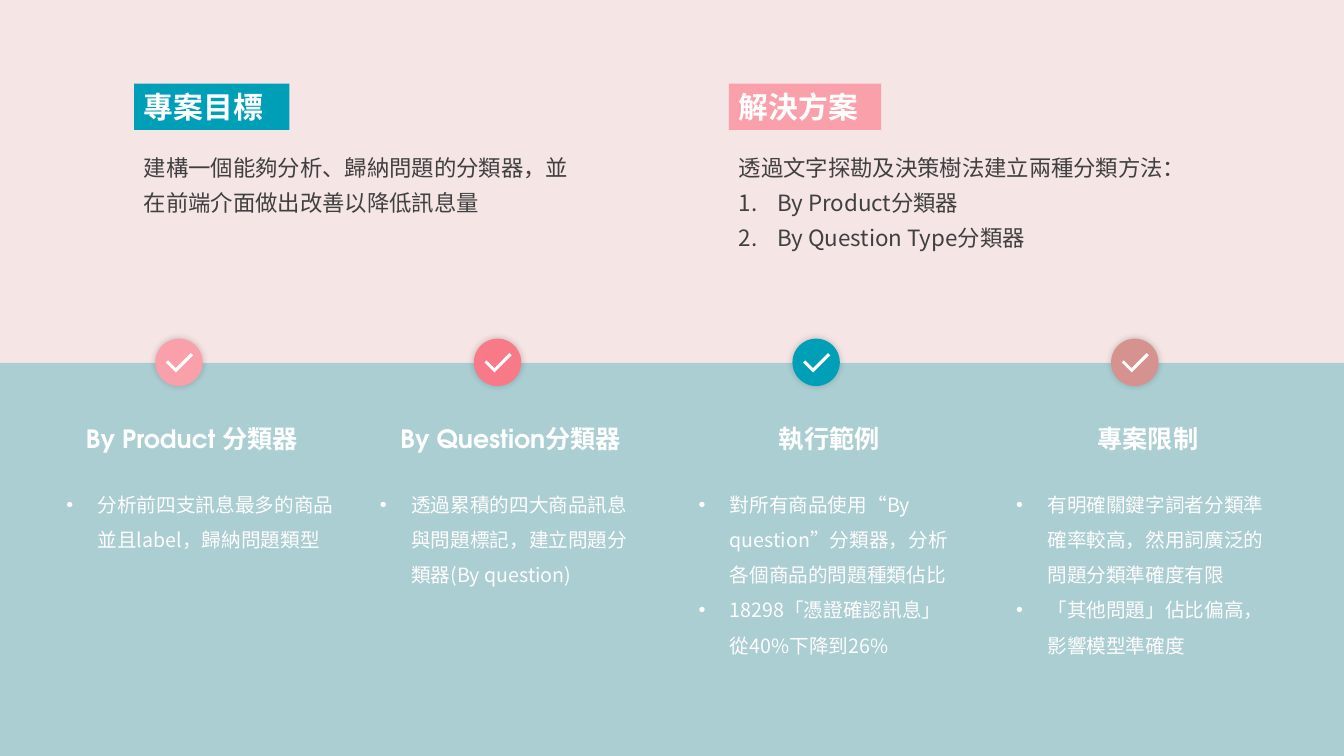
from dataclasses import dataclass

from lxml import etree
from pptx import Presentation
from pptx import util as u
from pptx.dml.color import RGBColor
from pptx.enum import shapes, text
from pptx.oxml.ns import qn


@dataclass(frozen=True)
class Theme:
    blush: str = "F5E5E4"
    mist: str = "AACED2"
    teal: str = "009FB8"
    pink: str = "FAA0AA"
    coral: str = "F87987"
    rose: str = "D5928E"
    white: str = "FFFFFF"
    soft_white: str = "FFFDFD"
    ink: str = "404040"
    shadow: str = "000000"
    tag_font: str = "Arial"
    heading_font: str = "TeX Gyre Adventor"
    body_font: str = "Noto Sans CJK SC"
    tag_size: float = 21.3
    heading_size: int = 18
    intro_size: int = 16
    detail_size: int = 14


THEME = Theme()
COLUMN_LEFT, COLUMN_STEP, COLUMN_WIDTH = 0.51, 3.16, 2.79

SUMMARIES = [
    (1.33, 1.54, THEME.teal, "專案目標",
     ["建構一個能夠分析、歸納問題的分類器，並在前端介面做出改善以降低訊息量"], 0.77),
    (7.23, 1.51, THEME.pink, "解決方案",
     ["透過文字探勘及決策樹法建立兩種分類方法：",
      "By Product分類器", "By Question Type分類器"], 1.12),
]

TOPICS = [
    (THEME.pink, "By Product 分類器", 0.56, 2.95, 0.77,
     ["分析前四支訊息最多的商品並且label，歸納問題類型"]),
    (THEME.coral, "By Question分類器", 3.67, COLUMN_WIDTH, 1.12,
     ["透過累積的四大商品訊息與問題標記，建立問題分類器(By question)"]),
    (THEME.teal, "執行範例", 6.83, COLUMN_WIDTH, 1.83,
     ["對所有商品使用“By question”分類器，分析各個商品的問題種類佔比",
      "18298「憑證確認訊息」從40%下降到26%"]),
    (THEME.rose, "專案限制", 9.98, COLUMN_WIDTH, 1.83,
     ["有明確關鍵字詞者分類準確率較高，然用詞廣泛的問題分類準確度有限",
      "「其他問題」佔比偏高，影響模型準確度"]),
]


def frame(left, top, width, height):
    return [u.Inches(length) for length in (left, top, width, height)]


def add_filled(parent, kind, box, color):
    filled = parent.add_shape(kind, *frame(*box))
    filled.shadow.inherit = False
    filled.fill.solid()
    filled.fill.fore_color.rgb = RGBColor.from_string(color)
    filled.line.fill.background()
    return filled


def write(holder, lines, font, size, color, bold=False, spacing=None,
          align=text.PP_ALIGN.LEFT):
    body = holder.text_frame
    body.word_wrap = True
    body.auto_size = text.MSO_AUTO_SIZE.SHAPE_TO_FIT_TEXT
    body.text = "\n".join(lines)
    for paragraph in body.paragraphs:
        paragraph.alignment = align
        paragraph.line_spacing = spacing
        for run in paragraph.runs:
            run.font.name = font
            run.font.size = u.Pt(size)
            run.font.bold = bold
            run.font.color.rgb = RGBColor.from_string(color)
            east_asian = etree.Element(qn("a:ea"), typeface=THEME.body_font)
            run.font._element.find(qn("a:latin")).addnext(east_asian)
    return body.paragraphs


def add_marker(paragraph, indent, tag, **settings):
    properties = paragraph._p.get_or_add_pPr()
    properties.set("marL", str(u.Inches(indent)))
    properties.set("indent", str(-u.Inches(indent)))
    etree.SubElement(properties, qn("a:buFont"), typeface=THEME.tag_font)
    etree.SubElement(properties, qn(tag), **settings)


def add_soft_shadow(disc):
    effects = disc._element.spPr.find(qn("a:effectLst"))
    outer = etree.SubElement(effects, qn("a:outerShdw"), blurRad=str(u.Pt(5)),
                             dist="0", dir="0", algn="ctr", rotWithShape="0")
    shade = etree.SubElement(outer, qn("a:srgbClr"), val=THEME.shadow)
    etree.SubElement(shade, qn("a:alpha"), val="20000")


def bend_into_corner(check):
    geometry = check._element.spPr.find(qn("a:prstGeom"))
    geometry.set("prst", "corner")
    guides = geometry.find(qn("a:avLst"))
    for name, value in (("adj1", 21800), ("adj2", 20600)):
        etree.SubElement(guides, qn("a:gd"), name=name, fmla=f"val {value}")


def add_check_badge(slide, left, color):
    badge = slide.shapes.add_group_shape().shapes
    disc = add_filled(badge, shapes.MSO_SHAPE.OVAL, (left, 3.36, 0.47, 0.47), color)
    add_soft_shadow(disc)
    check = add_filled(badge, shapes.MSO_SHAPE.RECTANGLE,
                       (left + 0.12, 3.49, 0.24, 0.14), THEME.white)
    bend_into_corner(check)
    check.rotation = 315


def add_summary(slide, left, tag_width, color, title, lines, height):
    tag = add_filled(slide.shapes, shapes.MSO_SHAPE.RECTANGLE,
                     (left, 0.83, tag_width, 0.46), color)
    write(tag, [title], THEME.tag_font, THEME.tag_size, THEME.white, bold=True)
    intro = slide.shapes.add_textbox(*frame(left, 1.4, 4.5, height))
    paragraphs = write(intro, lines, THEME.body_font, THEME.intro_size,
                       THEME.ink, spacing=1.3)
    for step in paragraphs[1:]:
        add_marker(step, 0.38, "a:buAutoNum", type="arabicPeriod")


def add_topic(slide, column, color, title, detail_left, detail_width, height, points):
    left = COLUMN_LEFT + column * COLUMN_STEP
    add_check_badge(slide, left + 1.03, color)
    heading = slide.shapes.add_textbox(*frame(left, 4.06, COLUMN_WIDTH, 0.45))
    write(heading, [title], THEME.heading_font, THEME.heading_size, THEME.white,
          bold=True, spacing=1.3, align=text.PP_ALIGN.CENTER)
    details = slide.shapes.add_textbox(*frame(detail_left, 4.72, detail_width, height))
    for point in write(details, points, THEME.body_font, THEME.detail_size,
                       THEME.soft_white, spacing=1.5):
        add_marker(point, 0.31, "a:buChar", char="•")


def main():
    deck = Presentation()
    deck.slide_width, deck.slide_height = u.Inches(13.33), u.Inches(7.5)
    slide = deck.slides.add_slide(deck.slide_layouts[6])
    slide.background.fill.solid()
    slide.background.fill.fore_color.rgb = RGBColor.from_string(THEME.blush)
    add_filled(slide.shapes, shapes.MSO_SHAPE.RECTANGLE, (0, 3.6, 13.33, 3.9), THEME.mist)
    for summary in SUMMARIES:
        add_summary(slide, *summary)
    for column, topic in enumerate(TOPICS):
        add_topic(slide, column, *topic)
    deck.save("out.pptx")


if __name__ == "__main__":
    main()
